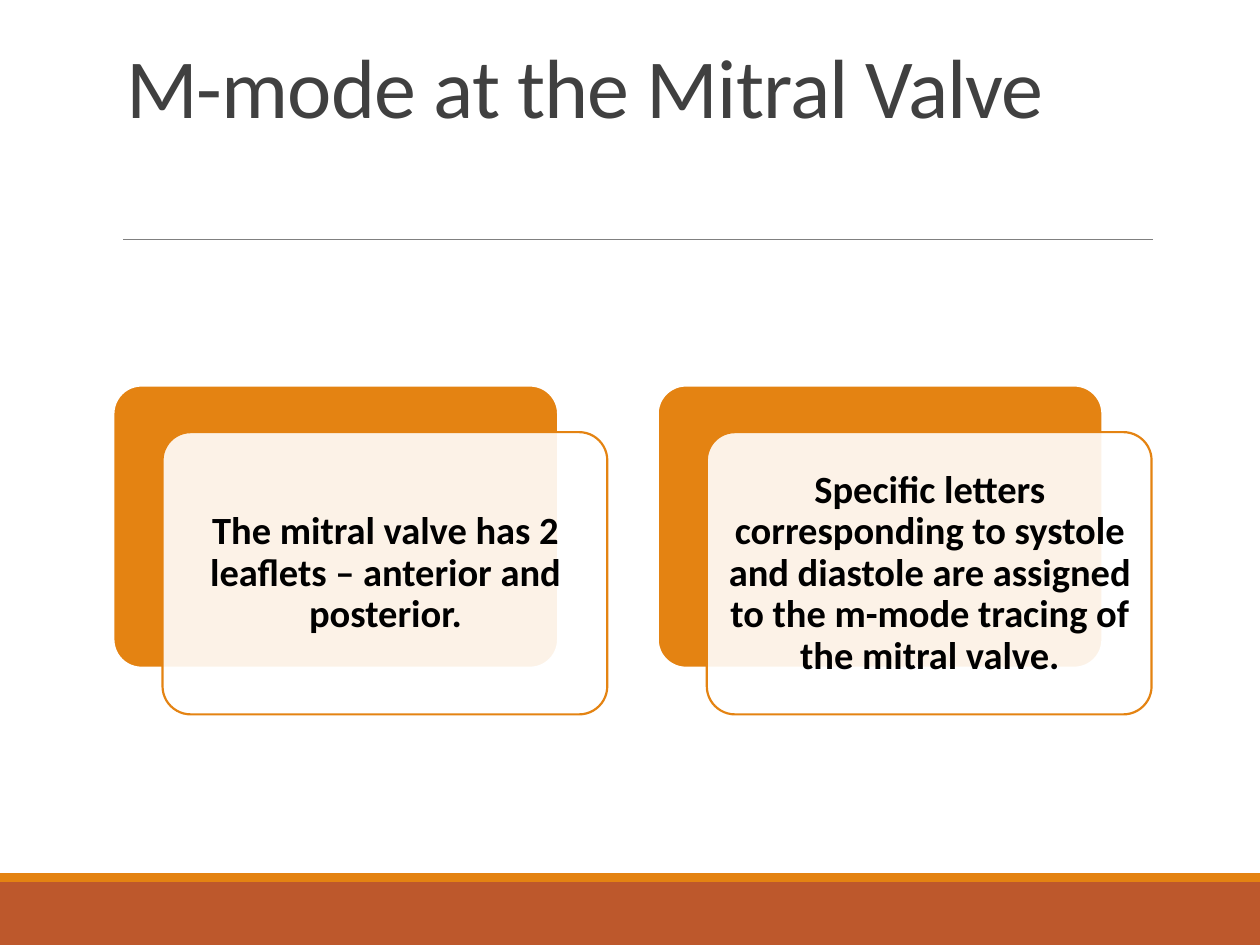
"""Build the slide about M-mode at the mitral valve."""
from dataclasses import dataclass

from lxml.etree import SubElement
from pptx import Presentation
from pptx.dml.color import RGBColor
from pptx.enum.shapes import MSO_CONNECTOR, MSO_SHAPE
from pptx.enum.text import MSO_ANCHOR, PP_ALIGN
from pptx.oxml.ns import qn
from pptx.shapes.autoshape import Shape
from pptx.slide import Slide
from pptx.util import Inches, Pt

COLORS = {
    "rust": "BD582C", "orange": "E48312", "rule": "808080",
    "title": "404040", "text": "000000", "white": "FFFFFF",
}
FONT = "Calibri"
LEFT, TOP, STEP = 0.9, 3.06, 4.32
WIDTH, HEIGHT = 3.53, 2.24


@dataclass
class Box:
    left: float
    top: float
    width: float
    height: float

    def inches(self) -> list[int]:
        return [Inches(n) for n in (self.left, self.top, self.width, self.height)]


@dataclass
class Band:
    box: Box
    color: str


BANDS = [
    Band(Box(0, 7, 10, 0.5), "rust"),
    Band(Box(0, 6.93, 10, 0.07), "orange"),
]
CARDS = [
    "The mitral valve has 2 leaflets – anterior and posterior.",
    "Specific letters corresponding to systole and diastole are assigned "
    "to the m-mode tracing of the mitral valve.",
]


def rgb(name: str) -> RGBColor:
    return RGBColor.from_string(COLORS[name])


def add_block(slide: Slide, kind: MSO_SHAPE, box: Box, fill: str) -> Shape:
    shape = slide.shapes.add_shape(kind, *box.inches())
    shape.shadow.inherit = False
    shape.fill.solid()
    shape.fill.fore_color.rgb = rgb(fill)
    shape.line.fill.background()
    return shape


def add_panel(slide: Slide, box: Box, fill: str, line: str) -> Shape:
    panel = add_block(slide, MSO_SHAPE.ROUNDED_RECTANGLE, box, fill)
    panel.adjustments[0] = 0.1
    panel.line.color.rgb = rgb(line)
    panel.line.width = Pt(1.25)
    return panel


def add_card(slide: Slide, left: float, text: str) -> None:
    add_panel(slide, Box(left, TOP, WIDTH, HEIGHT), "orange", "white")
    front = add_panel(
        slide, Box(left + 0.39, TOP + 0.37, WIDTH, HEIGHT), "white", "orange")
    tint = front.fill._xPr.find(".//" + qn("a:srgbClr"))
    SubElement(tint, qn("a:alpha"), val="90000")

    label = slide.shapes.add_textbox(*Box(left + 0.46, TOP + 0.44, 3.4, 2.11).inches())
    frame = label.text_frame
    frame.word_wrap = True
    frame.vertical_anchor = MSO_ANCHOR.MIDDLE
    frame.margin_left = frame.margin_right = Inches(0.09)
    frame.margin_top = frame.margin_bottom = Inches(0.09)
    frame.text = text
    para = frame.paragraphs[0]
    para.alignment = PP_ALIGN.CENTER
    para.line_spacing = 0.9
    font = para.runs[0].font
    font.name, font.size, font.bold = FONT, Pt(22), True
    font.color.rgb = rgb("text")


def add_rule(slide: Slide) -> None:
    rule = slide.shapes.add_connector(
        MSO_CONNECTOR.STRAIGHT, Inches(0.98), Inches(1.9), Inches(9.15), Inches(1.9))
    rule.line.color.rgb = rgb("rule")
    rule.line.width = Pt(0.5)
    SubElement(rule._element.spPr, qn("a:effectLst"))


def set_title(slide: Slide, text: str) -> None:
    title = slide.shapes.title
    title.left, title.top, title.width, title.height = Box(0.9, 0.31, 8.25, 1.59).inches()
    frame = title.text_frame
    frame.text = text
    frame.word_wrap = True
    frame.vertical_anchor = MSO_ANCHOR.BOTTOM
    frame.margin_bottom = Inches(0.82)
    para = frame.paragraphs[0]
    para.alignment = PP_ALIGN.LEFT
    para.line_spacing = 0.85
    run = para.runs[0]
    run.font.name, run.font.size = FONT, Pt(48)
    run.font.color.rgb = rgb("title")
    run._r.get_or_add_rPr().set("spc", "-50")


def main() -> None:
    deck = Presentation()
    deck.slide_width, deck.slide_height = Inches(10), Inches(7.5)
    slide = deck.slides.add_slide(deck.slide_layouts[5])
    for band in BANDS:
        add_block(slide, MSO_SHAPE.RECTANGLE, band.box, band.color)
    add_rule(slide)
    set_title(slide, "M-mode at the Mitral Valve")
    for i, text in enumerate(CARDS):
        add_card(slide, LEFT + i * STEP, text)
    deck.save("out.pptx")


if __name__ == "__main__":
    main()
